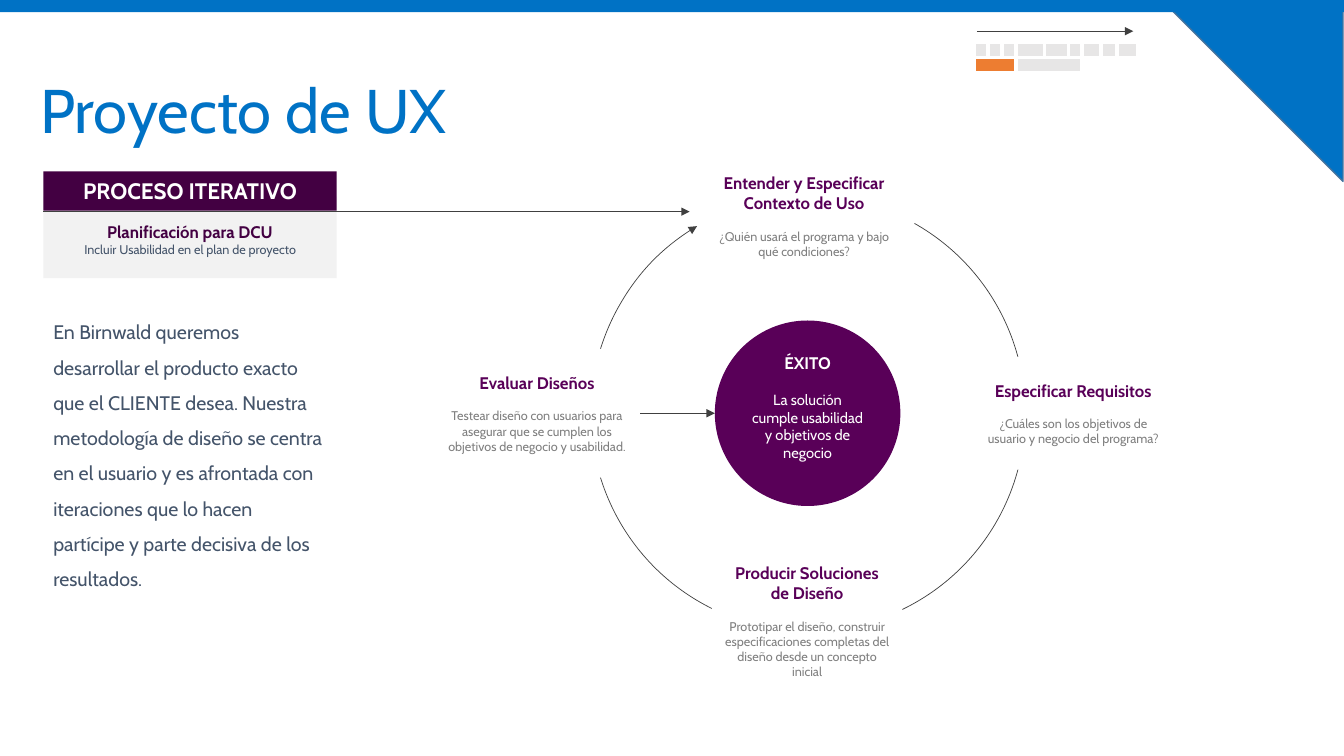
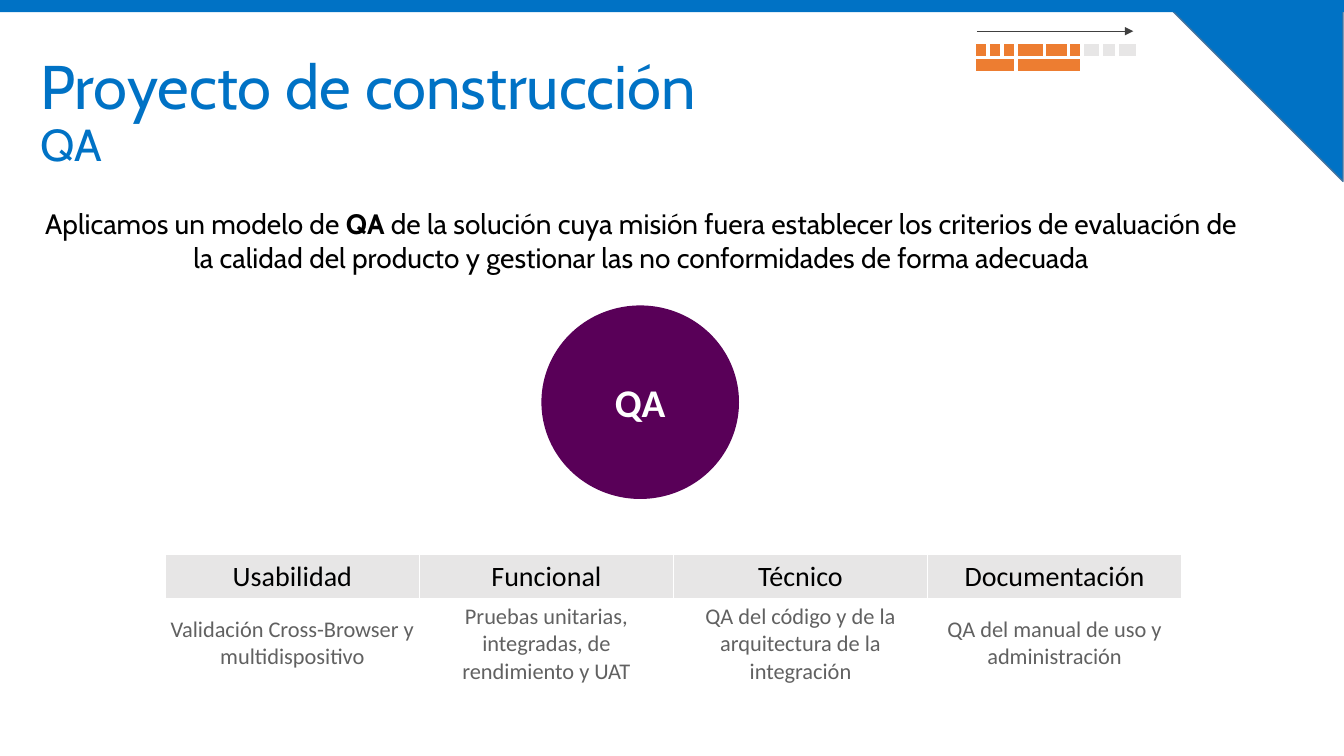
from lxml import etree
from pptx import Presentation
from pptx.dml.color import RGBColor
from pptx.enum.shapes import MSO_CONNECTOR, MSO_SHAPE
from pptx.enum.text import MSO_ANCHOR, PP_ALIGN
from pptx.oxml.ns import qn
from pptx.util import Emu, Pt

# Scale: 100 px to the inch
EMU_PER_PX = 9144

BLUE = RGBColor(0x00, 0x72, 0xC5)
BLUE_EDGE = RGBColor(0x43, 0x73, 0x9E)
PURPLE = RGBColor(0x59, 0x00, 0x58)
DARK_PURPLE = RGBColor(0x43, 0x00, 0x42)
ORANGE = RGBColor(0xED, 0x7D, 0x31)
SLATE = RGBColor(0x44, 0x54, 0x6A)
CHARCOAL = RGBColor(0x40, 0x40, 0x40)
CELL_TEXT = RGBColor(0x61, 0x61, 0x61)
GRAY = RGBColor(0x80, 0x80, 0x80)
LIGHT = RGBColor(0xE7, 0xE6, 0xE6)
PALE = RGBColor(0xF2, 0xF2, 0xF2)
BLACK = RGBColor(0x00, 0x00, 0x00)
WHITE = RGBColor(0xFF, 0xFF, 0xFF)

RECT, ELLIPSE = MSO_SHAPE.RECTANGLE, MSO_SHAPE.OVAL
ARC, TRIANGLE = MSO_SHAPE.ARC, MSO_SHAPE.RIGHT_TRIANGLE
STRAIGHT = MSO_CONNECTOR.STRAIGHT
LEFT, CENTER = PP_ALIGN.LEFT, PP_ALIGN.CENTER
TOP, MIDDLE, BOTTOM = MSO_ANCHOR.TOP, MSO_ANCHOR.MIDDLE, MSO_ANCHOR.BOTTOM

TITLE_FONT, TABLE_FONT = "Cabin", "Calibri"
RIGHT_SIDE = 3

# Progress tracker: nine steps, above two phases of three columns each
STEP_WIDTHS = [14, 14, 14, 28, 24, 13, 19, 16, 21]
PHASE_SPAN = 3


def px(length):
    return Emu(length * EMU_PER_PX)


def write(frame, text, size=12, color=BLACK, bold=False, font=TITLE_FONT,
          align=CENTER, spacing=None, before=None):
    """Add a paragraph; text is a string or a list of (string, bold) spans."""
    para = frame.add_paragraph() if frame.text else frame.paragraphs[0]
    para.alignment = align
    if spacing:
        para.line_spacing = spacing
    if before:
        para.space_before = Pt(before)
    spans = [(text, bold)] if isinstance(text, str) else text
    for words, heavy in spans:
        span = para.add_run()
        span.text = words
        span.font.name = font
        span.font.size = Pt(size)
        span.font.bold = heavy
        span.font.color.rgb = color


class SlideBuilder:
    def __init__(self):
        self.deck = Presentation()
        self.deck.slide_width, self.deck.slide_height = px(1333), px(750)
        self.page = None

    def new_page(self):
        self.page = self.deck.slides.add_slide(self.deck.slide_layouts[6])
        corner = self.shape(TRIANGLE, 1152, 0, 180, 180, BLUE)
        corner.rotation = 180
        corner.line.color.rgb = BLUE_EDGE
        corner.line.width = Pt(1)
        self.shape(RECT, 0, 0, 1333, 12, BLUE)

    def shape(self, kind, left, top, width, height, fill=None, anchor=MIDDLE):
        shape = self.page.shapes.add_shape(
            kind, px(left), px(top), px(width), px(height))
        shape.shadow.inherit = False
        shape.line.fill.background()
        if fill is None:
            shape.fill.background()
        else:
            shape.fill.solid()
            shape.fill.fore_color.rgb = fill
        shape.text_frame.word_wrap = True
        shape.text_frame.vertical_anchor = anchor
        return shape

    def text_frame(self, left, top, width, height, anchor=TOP):
        box = self.page.shapes.add_textbox(
            px(left), px(top), px(width), px(height))
        box.text_frame.word_wrap = True
        box.text_frame.vertical_anchor = anchor
        return box.text_frame

    def title(self, heading, subheading=None):
        frame = self.text_frame(30, 40, 1212, 145, MIDDLE)
        style = {"color": BLUE, "align": LEFT, "spacing": 0.9}
        write(frame, heading, size=44, **style)
        if subheading:
            write(frame, subheading, size=32, **style)

    def stage(self, left, top, width, height, names, detail):
        """A step of the cycle: bold name lines over a gray detail."""
        box = self.shape(RECT, left, top, width, height, WHITE)
        for name in names:
            write(box.text_frame, name, color=PURPLE, bold=True)
        write(box.text_frame, detail, size=9, color=GRAY, before=11)
        return box

    def arrow_line(self, shape):
        """Thin charcoal outline with an arrowhead at its end."""
        shape.line.color.rgb = CHARCOAL
        shape.line.width = Pt(0.5)
        outline = shape.line._get_or_add_ln()
        etree.SubElement(outline, qn("a:tailEnd"), type="triangle")

    def arrow(self, left, right, y):
        line = self.page.shapes.add_connector(
            STRAIGHT, px(left), px(y), px(right), px(y))
        self.arrow_line(line)
        etree.SubElement(line._element.spPr, qn("a:effectLst"))
        return line

    def arc_arrow(self, left, top, width, height, start, end):
        arc = self.shape(ARC, left, top, width, height)
        # Angles are stored in 60000ths of a degree, adjustments in 100000ths
        arc.adjustments[0], arc.adjustments[1] = start * 0.6, end * 0.6
        self.arrow_line(arc)

    def table(self, left, top, widths, heights):
        frame = self.page.shapes.add_table(
            len(heights), len(widths), px(left), px(top),
            px(sum(widths)), px(sum(heights)))
        table = frame.table
        table.first_row = table.horz_banding = False
        for column, width in zip(table.columns, widths):
            column.width = px(width)
        for row, height in zip(table.rows, heights):
            row.height = px(height)
        return table

    def cell(self, cell, fill, border, margin):
        properties = cell._tc.get_or_add_tcPr()
        for side in ("a:lnL", "a:lnR", "a:lnT", "a:lnB"):
            edge = etree.SubElement(properties, qn(side), w=str(Pt(border)))
            paint = etree.SubElement(edge, qn("a:solidFill"))
            etree.SubElement(paint, qn("a:srgbClr"), val=str(WHITE))
        cell.margin_left = cell.margin_right = px(margin)
        cell.margin_top = cell.margin_bottom = px(margin)
        cell.vertical_anchor = MIDDLE
        if fill is None:
            cell.fill.background()
        else:
            cell.fill.solid()
            cell.fill.fore_color.rgb = fill

    def tracker(self, steps_done, phases_done):
        table = self.table(966, 42, STEP_WIDTHS, [15, 15])
        for phase in range(2):
            first = phase * PHASE_SPAN
            table.cell(1, first).merge(table.cell(1, first + PHASE_SPAN - 1))
        for index in range(len(STEP_WIDTHS)):
            phase = index // PHASE_SPAN
            step_fill = ORANGE if index < steps_done else LIGHT
            phase_fill = ORANGE if phase < phases_done else LIGHT
            fills = [step_fill, phase_fill if phase < 2 else None]
            for row, fill in enumerate(fills):
                cell = table.cell(row, index)
                self.cell(cell, fill, border=3, margin=0)
                cell.text_frame.paragraphs[0].font.size = Pt(1)
        self.arrow(969, 1124, 31)


def build_ux_page(builder):
    builder.new_page()
    builder.arc_arrow(586, 194, 431, 432, start=299.26, end=239.32)
    builder.title("Proyecto de UX")

    # Cycle stages
    builder.stage(703, 155, 189, 118,
                  ["Entender y Especificar", "Contexto de Uso"],
                  "¿Quién usará el programa y bajo qué condiciones?")
    builder.stage(706, 545, 189, 142,
                  ["Producir Soluciones", "de Diseño"],
                  "Prototipar el diseño, construir especificaciones "
                  "completas del diseño desde un concepto inicial")
    evaluation = builder.stage(
        430, 346, 205, 128, ["Evaluar Diseños"],
        "Testear diseño con usuarios para asegurar que se cumplen "
        "los objetivos de negocio y usabilidad.")
    builder.stage(966, 354, 197, 112, ["Especificar Requisitos"],
                  "¿Cuáles son los objetivos de usuario y negocio "
                  "del programa?")

    # Goal in the centre
    goal = builder.shape(ELLIPSE, 709, 318, 184, 184, PURPLE, TOP).text_frame
    write(goal, "ÉXITO", color=WHITE, bold=True)
    write(goal, "La solución cumple usabilidad y objetivos de negocio",
          size=10.5, color=WHITE, before=13)

    # Planning panel
    plan = builder.shape(RECT, 43, 195, 291, 81, PALE, TOP).text_frame
    plan.margin_top = px(25)
    write(plan, "Planificación para DCU", color=DARK_PURPLE, bold=True)
    write(plan, "Incluir Usabilidad en el plan de proyecto",
          size=9, color=SLATE)
    header = builder.shape(RECT, 43, 170, 291, 39, DARK_PURPLE).text_frame
    write(header, "PROCESO ITERATIVO", size=16, color=WHITE, bold=True)

    # Arrows into the goal and the cycle
    builder.arrow(635, 709, 410).begin_connect(evaluation, RIGHT_SIDE)
    builder.arrow(43, 684, 210)

    # Approach
    approach = builder.text_frame(43, 303, 291, 288, BOTTOM)
    write(approach,
          "En Birnwald queremos desarrollar el producto exacto que el CLIENTE "
          "desea. Nuestra metodología de diseño se centra en el usuario y es "
          "afrontada con iteraciones que lo hacen partícipe y parte decisiva "
          "de los resultados.",
          size=14, color=SLATE, align=LEFT, spacing=1.5)
    builder.tracker(steps_done=0, phases_done=1)


def build_qa_page(builder):
    builder.new_page()
    builder.title("Proyecto de construcción", "QA")
    mission = builder.text_frame(30, 200, 1212, 90)
    write(mission, [
        ("Aplicamos un modelo de ", False),
        ("QA ", True),
        ("de la solución cuya misión fuera establecer los criterios de "
         "evaluación de la calidad del producto y gestionar las no "
         "conformidades de forma adecuada", False)], size=20)
    badge = builder.shape(ELLIPSE, 537, 303, 196, 192, PURPLE)
    write(badge.text_frame, "QA", size=28, color=WHITE, bold=True,
          font=TABLE_FONT)

    # Test areas
    areas = [
        ("Usabilidad", "Validación Cross-Browser y multidispositivo"),
        ("Funcional", "Pruebas unitarias, integradas, de rendimiento y UAT"),
        ("Técnico", "QA del código y de la arquitectura de la integración"),
        ("Documentación", "QA del manual de uso y administración"),
    ]
    row_styles = [(LIGHT, 20, BLACK), (WHITE, 16, CELL_TEXT)]
    table = builder.table(164, 550, [252] * len(areas), [43, 90])
    for column, area in enumerate(areas):
        for row, (fill, size, color) in enumerate(row_styles):
            cell = table.cell(row, column)
            builder.cell(cell, fill, border=1, margin=5)
            write(cell.text_frame, area[row], size=size, color=color,
                  font=TABLE_FONT)
    builder.tracker(steps_done=6, phases_done=2)


def main():
    builder = SlideBuilder()
    build_ux_page(builder)
    build_qa_page(builder)
    builder.deck.save("out.pptx")


if __name__ == "__main__":
    main()
